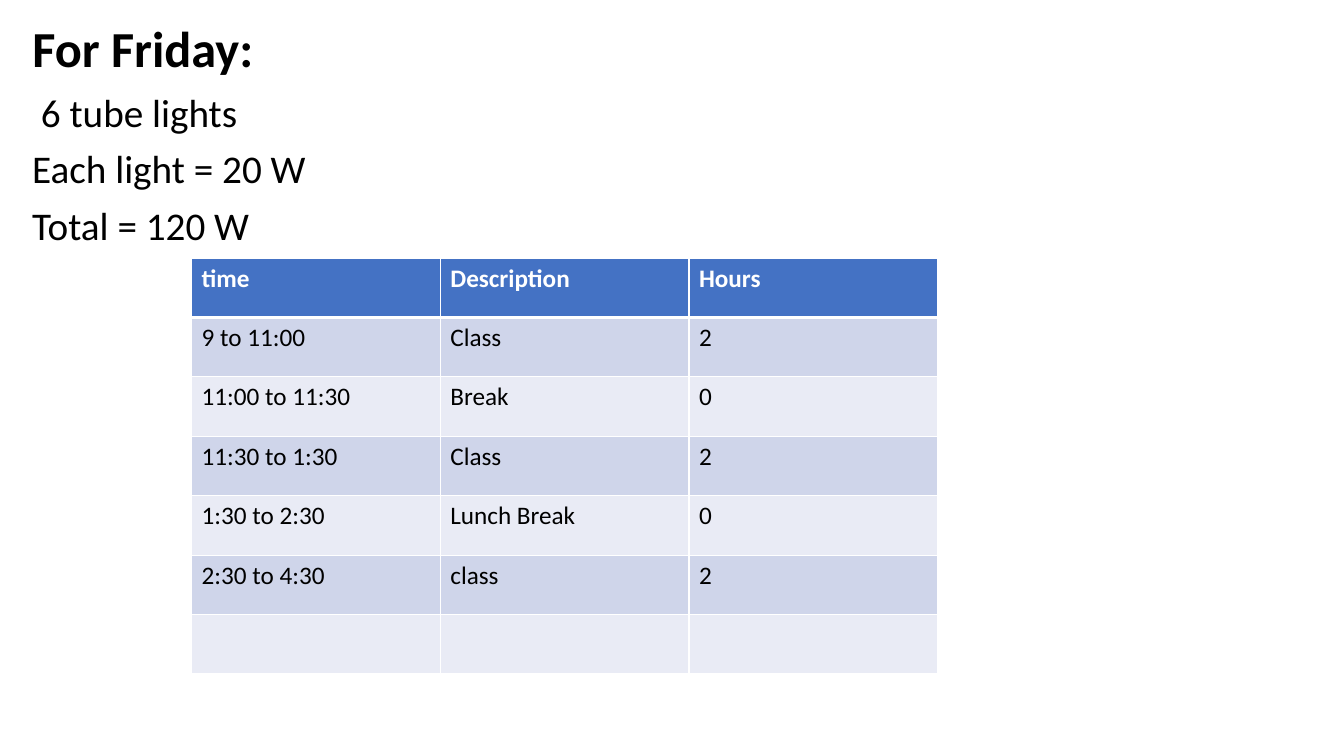
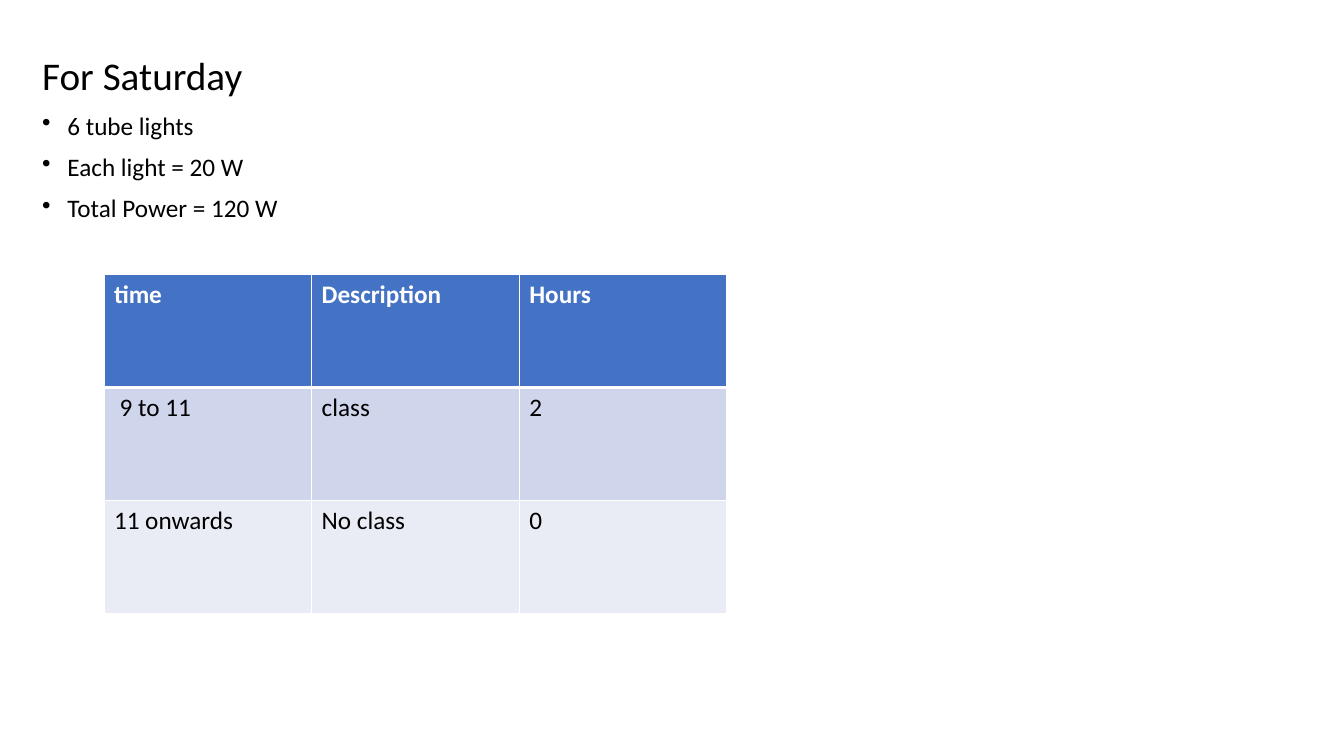
import lxml.etree
import pptx
import pptx.dml.color
import pptx.enum.text
import pptx.oxml.ns
import pptx.util
from pptx.util import Cm

FONT = "Calibri"
BLACK, WHITE = "000000", "FFFFFF"
HEADER_FILL = "4472C4"
BAND_FILLS = ("CFD5EA", "E9EBF5")
HEADINGS = ("time", "Description", "Hours")
TEXT_WIDTH = 30.8
BULLET_INDENT = 0.64

FRIDAY = {
    "title": "For Friday:",
    "title_box": (0.56, 0.48, TEXT_WIDTH, 1.75),
    "title_size": 36,
    "title_bold": True,
    "facts": (" 6 tube lights", "Each light = 20 W", "Total = 120 W"),
    "facts_size": 28,
    "bulleted": False,
    "table_box": (4.83, 6.5, 18.8, 10.49),
    "rows": (
        ("9 to 11:00", "Class", "2"),
        ("11:00 to 11:30", "Break", "0"),
        ("11:30 to 1:30", "Class", "2"),
        ("1:30 to 2:30", "Lunch Break", "0"),
        ("2:30 to 4:30", "class", "2"),
        ("", "", ""),
    ),
}
SATURDAY = {
    "title": "For Saturday",
    "title_box": (0.81, 1.3, TEXT_WIDTH, 1.44),
    "title_size": 28,
    "title_bold": False,
    "facts": ("6 tube lights", "Each light = 20 W", "Total Power = 120 W"),
    "facts_size": 18,
    "bulleted": True,
    "table_box": (2.62, 6.91, 15.7, 8.56),
    "rows": ((" 9 to 11", "class", "2"), ("11 onwards", "No class", "0")),
}


def color(hex_value):
    """Turn a hex string into a colour."""
    return pptx.dml.color.RGBColor.from_string(hex_value)


def style_paragraph(paragraph, size, hex_value=BLACK, bold=False):
    """Set the font and alignment of a whole paragraph."""
    paragraph.alignment = pptx.enum.text.PP_ALIGN.LEFT
    paragraph.font.name = FONT
    paragraph.font.size = pptx.util.Pt(size)
    paragraph.font.bold = bold
    paragraph.font.color.rgb = color(hex_value)


def prepare_frame(text_frame):
    """Wrap text from the top of a frame at a fixed size."""
    text_frame.word_wrap = True
    text_frame.auto_size = pptx.enum.text.MSO_AUTO_SIZE.NONE
    text_frame.vertical_anchor = pptx.enum.text.MSO_ANCHOR.TOP


def add_bullet(paragraph):
    """Give a paragraph a round bullet with a hanging indent."""
    properties = paragraph._p.get_or_add_pPr()
    properties.set("marL", str(Cm(BULLET_INDENT)))
    properties.set("indent", str(-Cm(BULLET_INDENT)))
    bullet = lxml.etree.SubElement(properties, pptx.oxml.ns.qn("a:buChar"))
    bullet.set("char", "•")


def place_title(slide, box, text, size, bold):
    """Move the title placeholder into the box and format it."""
    title = slide.shapes.title
    title.left, title.top, title.width, title.height = map(Cm, box)
    prepare_frame(title.text_frame)
    title.text_frame.text = text
    paragraph = title.text_frame.paragraphs[0]
    paragraph.line_spacing = 0.9
    style_paragraph(paragraph, size, bold=bold)


def add_facts(slide, box, facts, size, bulleted):
    """Write the lighting facts as one paragraph each."""
    text_frame = slide.shapes.add_textbox(*map(Cm, box)).text_frame
    prepare_frame(text_frame)
    text_frame.text = "\n".join(facts)
    for index, paragraph in enumerate(text_frame.paragraphs):
        if bulleted:
            add_bullet(paragraph)
        paragraph.line_spacing = 0.9
        paragraph.space_before = pptx.util.Pt(10 if index else 0)
        style_paragraph(paragraph, size)


def set_borders(cell, top, bottom):
    """Draw white cell borders with the given top and bottom widths."""
    properties = cell._tc.get_or_add_tcPr()
    widths = {"lnL": 1, "lnR": 1, "lnT": top, "lnB": bottom}
    for position, (side, width) in enumerate(widths.items()):
        line = lxml.etree.Element(pptx.oxml.ns.qn(f"a:{side}"))
        line.set("w", str(pptx.util.Pt(width)))
        fill = lxml.etree.SubElement(line, pptx.oxml.ns.qn("a:solidFill"))
        lxml.etree.SubElement(fill, pptx.oxml.ns.qn("a:srgbClr")).set("val", WHITE)
        properties.insert(position, line)


def add_schedule(slide, box, rows):
    """Fill the box with a banded schedule table of equal rows and columns."""
    left, top, width, height = box
    lines = (HEADINGS, *rows)
    table = slide.shapes.add_table(
        len(lines), len(HEADINGS), Cm(left), Cm(top), Cm(width), Cm(height)
    ).table
    for column in table.columns:
        column.width = Cm(width / len(HEADINGS))
    for row_index, line in enumerate(lines):
        is_header = row_index == 0
        table.rows[row_index].height = Cm(height / len(lines))
        for column_index, text in enumerate(line):
            cell = table.cell(row_index, column_index)
            cell.text = text
            cell.fill.solid()
            fill = HEADER_FILL if is_header else BAND_FILLS[(row_index - 1) % 2]
            cell.fill.fore_color.rgb = color(fill)
            set_borders(cell, 3 if row_index == 1 else 1, 3 if is_header else 1)
            style_paragraph(
                cell.text_frame.paragraphs[0], 18, WHITE if is_header else BLACK, is_header
            )


def add_day_slide(presentation, day):
    """Build the slide of one day: title, facts and schedule."""
    slide = presentation.slides.add_slide(presentation.slide_layouts.get_by_name("Title Only"))
    left, top, width, height = day["title_box"]
    place_title(slide, day["title_box"], day["title"], day["title_size"], day["title_bold"])
    facts_box = (left, top + height, width, 4.2)
    add_facts(slide, facts_box, day["facts"], day["facts_size"], day["bulleted"])
    add_schedule(slide, day["table_box"], day["rows"])


def main():
    """Create and save the presentation."""
    presentation = pptx.Presentation()
    presentation.slide_width = Cm(33.87)
    presentation.slide_height = Cm(19.05)
    for day in (FRIDAY, SATURDAY):
        add_day_slide(presentation, day)
    presentation.save("out.pptx")


if __name__ == "__main__":
    main()
